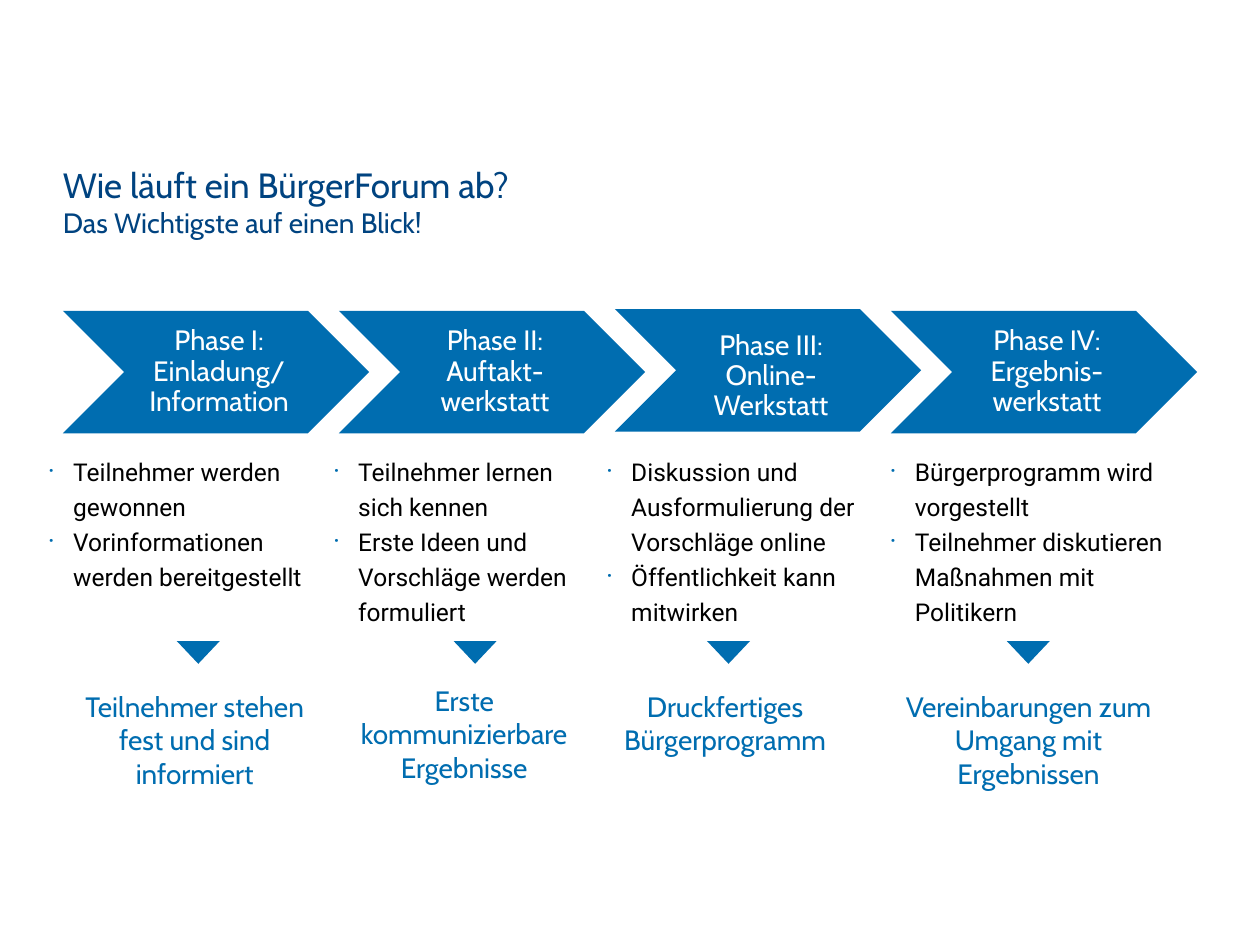
import pptx
import pptx.util
import pptx.dml.color
import pptx.enum.shapes
import pptx.enum.text
from dataclasses import dataclass
from lxml import etree

Pt = pptx.util.Pt
Rgb = pptx.dml.color.RGBColor.from_string
Align = pptx.enum.text.PP_ALIGN
Shape = pptx.enum.shapes.MSO_SHAPE


@dataclass
class Theme:
    navy: str = "004380"
    blue: str = "006DB0"
    white: str = "FFFFFF"
    black: str = "000000"
    heading_font: str = "Cabin"
    body_font: str = "Roboto"
    title_size: int = 20
    heading_size: int = 16
    body_size: int = 14


theme = Theme()

# Per phase: heading, chevron top, top inset, tasks (left, width, items),
# arrow left, outcome (left, top, width, text)
phases = [
    ("Phase I: Einladung/ Information", 177.6, 1.5,
     (27.4, 149, ["Teilnehmer werden gewonnen",
                  "Vorinformationen werden bereitgestellt"]),
     101, (36, 394, 150.5, "Teilnehmer stehen fest und sind informiert")),
    ("Phase II: Auftakt-werkstatt", 177.6, 1.5,
     (190.3, 140.5, ["Teilnehmer lernen sich kennen",
                     "Erste Ideen und Vorschläge werden formuliert"]),
     259.2, (190, 390.5, 150.5, "Erste kommunizierbare\vErgebnisse")),
    ("Phase III: Online-Werkstatt", 176.6, 8.5,
     (346.3, 145.5, ["Diskussion und Ausformulierung der Vorschläge online",
                     "Öffentlichkeit kann mitwirken"]),
     404, (346.3, 394, 136, "Druckfertiges Bürgerprogramm")),
    ("Phase IV: Ergebnis-werkstatt", 177.6, 1.5,
     (508.4, 165, ["Bürgerprogramm wird vorgestellt",
                   "Teilnehmer diskutieren\vMaßnahmen mit Politikern"]),
     575.3, (511, 394, 153.5, "Vereinbarungen zum Umgang mit Ergebnissen")),
]
first_left, phase_pitch = 36, 157.7

deck = pptx.Presentation()
deck.slide_width, deck.slide_height = Pt(720), Pt(540)
slide = deck.slides.add_slide(deck.slide_layouts[6])


def add_text_frame(left, top, width, height):
    frame = slide.shapes.add_textbox(Pt(left), Pt(top), Pt(width), Pt(height)).text_frame
    frame.word_wrap = True
    frame.margin_left = frame.margin_top = frame.margin_right = frame.margin_bottom = 0
    return frame


def set_font(font, name, size, color):
    font.name, font.size = name, Pt(size)
    font.color.rgb = Rgb(color)


# Title with subtitle
title = add_text_frame(36, 93.6, 648, 44).paragraphs[0]
question = title.add_run()
question.text = "Wie läuft ein BürgerForum ab?"
set_font(question.font, theme.heading_font, theme.title_size, theme.navy)
title.add_line_break()
subtitle = title.add_run()
subtitle.text = "Das Wichtigste auf einen Blick!"
set_font(subtitle.font, theme.heading_font, theme.heading_size, theme.navy)

for index, (heading, chevron_top, inset_top, tasks, arrow_left, outcome) in enumerate(phases):
    # Phase chevron and downward arrow
    chevron = slide.shapes.add_shape(
        Shape.CHEVRON, Pt(first_left + index * phase_pitch), Pt(chevron_top), Pt(175), Pt(70))
    arrow = slide.shapes.add_shape(
        Shape.ISOSCELES_TRIANGLE, Pt(arrow_left), Pt(366.3), Pt(24.6), Pt(13))
    arrow.rotation = 180
    for part in (chevron, arrow):
        part.shadow.inherit = False
        part.fill.solid()
        part.fill.fore_color.rgb = Rgb(theme.blue)
        part.line.fill.background()

    # Phase heading
    heading_frame = chevron.text_frame
    heading_frame.word_wrap = True
    heading_frame.vertical_anchor = pptx.enum.text.MSO_ANCHOR.MIDDLE
    heading_frame.margin_left, heading_frame.margin_top = Pt(5), Pt(inset_top)
    heading_frame.margin_right = heading_frame.margin_bottom = Pt(1.5)
    label = heading_frame.paragraphs[0]
    label.text = heading
    label.alignment = Align.CENTER
    label.line_spacing = 0.9
    set_font(label.font, theme.heading_font, theme.heading_size, theme.white)

    # Bulleted tasks
    tasks_left, tasks_width, items = tasks
    tasks_frame = add_text_frame(tasks_left, 257.8, tasks_width, 100)
    for number, item in enumerate(items):
        task = tasks_frame.add_paragraph() if number else tasks_frame.paragraphs[0]
        task.text = item
        properties = task._p.get_or_add_pPr()
        properties.set("marL", str(Pt(14.4)))
        properties.set("indent", str(-Pt(14.4)))
        bullet_color = etree.SubElement(properties, pptx.oxml.ns.qn("a:buClr"))
        etree.SubElement(bullet_color, pptx.oxml.ns.qn("a:srgbClr"), val=theme.blue)
        etree.SubElement(properties, pptx.oxml.ns.qn("a:buSzPct"), val="110000")
        etree.SubElement(properties, pptx.oxml.ns.qn("a:buFont"), typeface=theme.body_font)
        etree.SubElement(properties, pptx.oxml.ns.qn("a:buChar"), char="·")
        task.line_spacing = Pt(20)
        set_font(task.font, theme.body_font, theme.body_size, theme.black)

    # Outcome of the phase
    outcome_left, outcome_top, outcome_width, outcome_text = outcome
    result = add_text_frame(outcome_left, outcome_top, outcome_width, 58.5).paragraphs[0]
    result.text = outcome_text
    result.alignment = Align.CENTER
    set_font(result.font, theme.heading_font, theme.heading_size, theme.blue)

deck.save("out.pptx")
